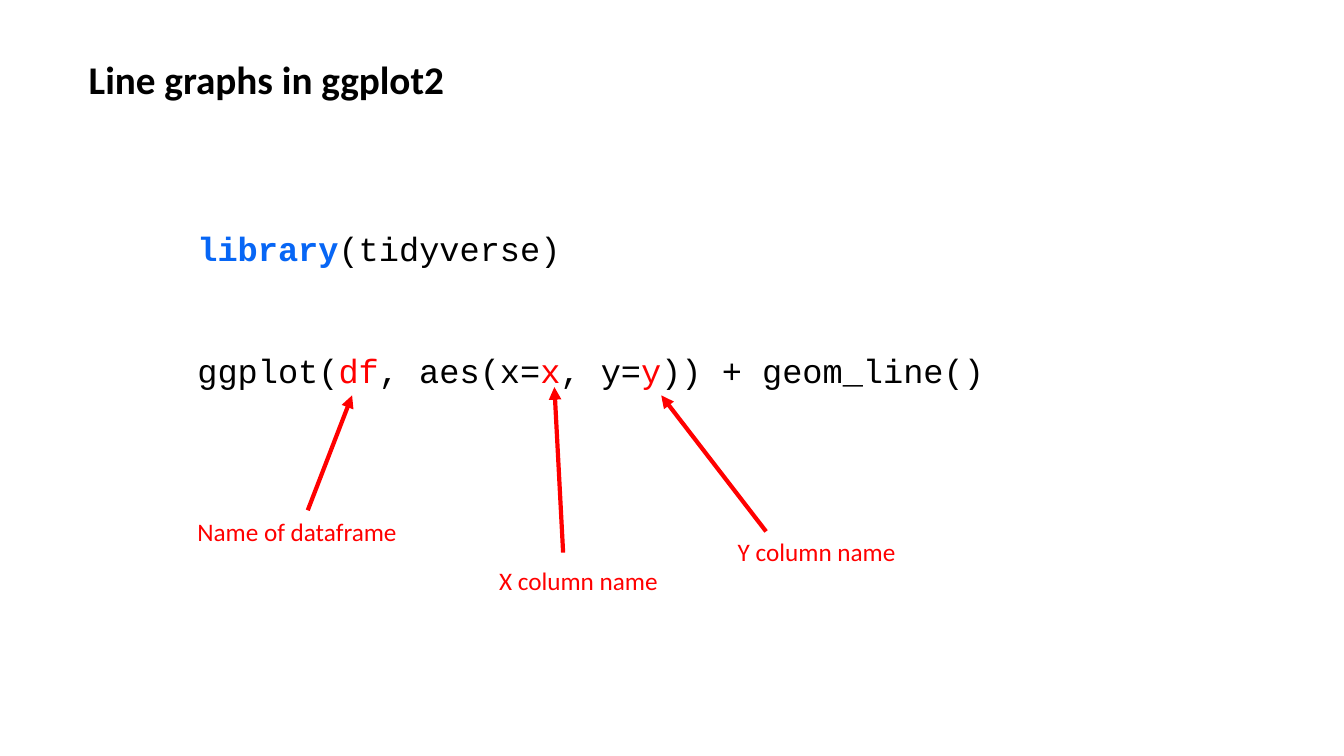
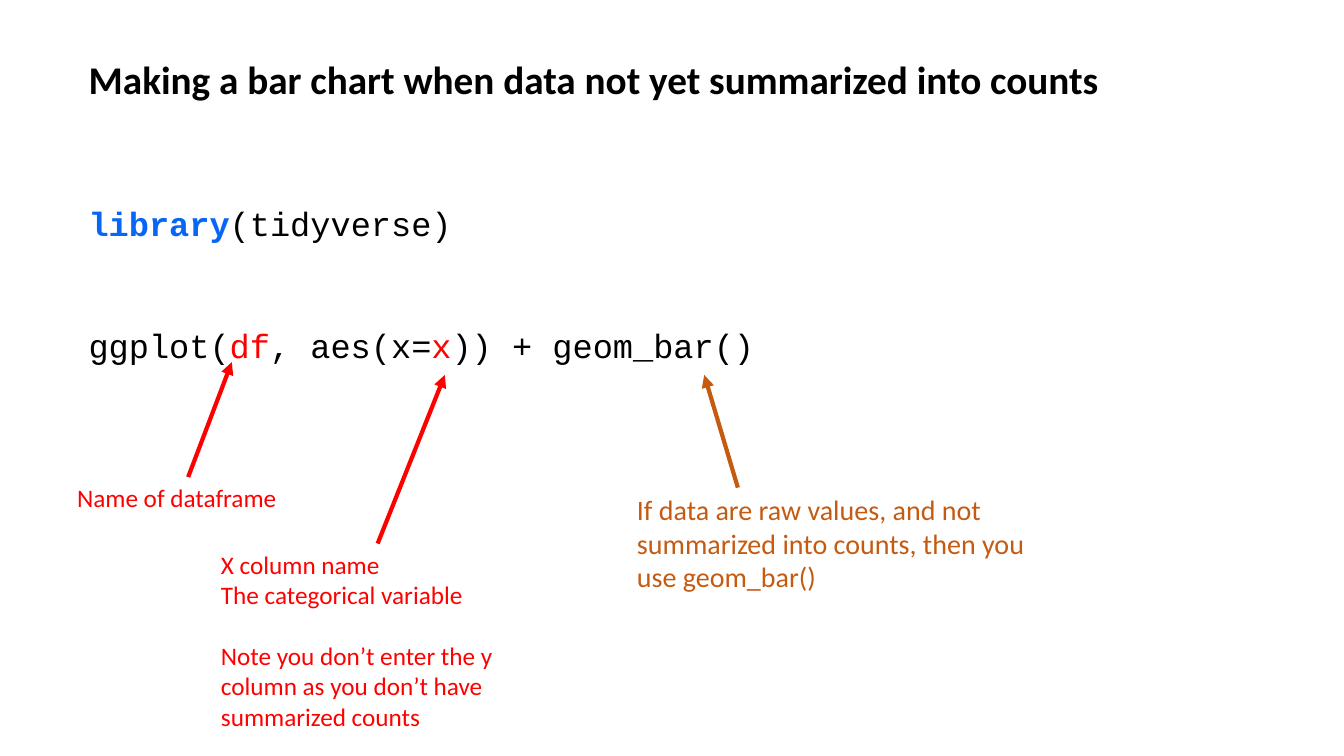
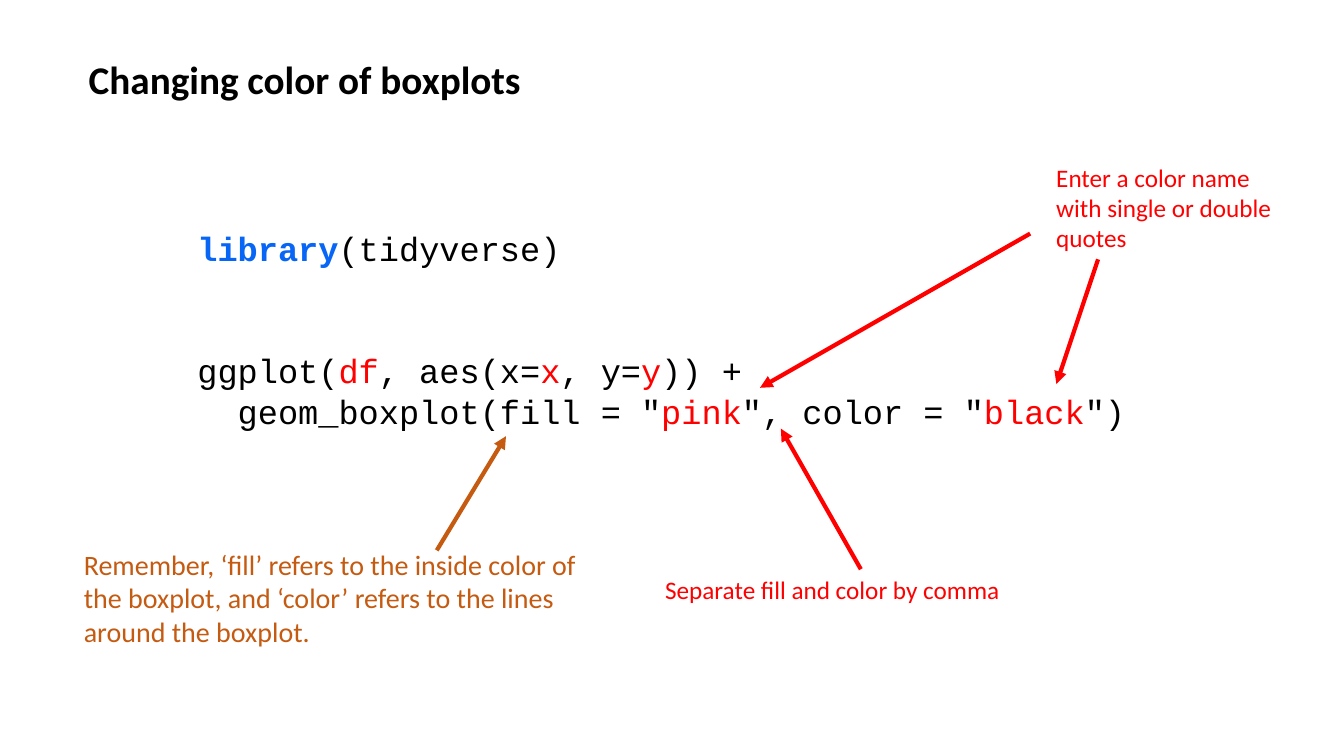
from dataclasses import dataclass

from lxml import etree
from pptx import Presentation
from pptx.dml.color import RGBColor
from pptx.enum.shapes import MSO_CONNECTOR
from pptx.enum.text import MSO_ANCHOR, PP_ALIGN
from pptx.oxml.ns import qn
from pptx.util import Inches, Length, Pt

STRAIGHT = MSO_CONNECTOR.STRAIGHT
LEFT = PP_ALIGN.LEFT
TOP = MSO_ANCHOR.TOP
WIDE, HIGH = Inches(13.33), Inches(7.5)
SANS, MONO = "Calibri", "Courier New"
BLACK, RED, BLUE, BROWN = "000000", "FF0000", "0766F5", "C55A11"
PITCH = 29
TAB = Inches(0.4)


@dataclass(frozen=True)
class Box:
    left: float
    top: float
    width: float
    height: float = 5.3


@dataclass(frozen=True)
class Note:
    box: Box
    lines: tuple[str, ...]
    color: str = RED
    size: int = 18
    wrap: bool = False
    gap: int | None = None


@dataclass(frozen=True)
class Arrow:
    start: tuple[float, float]
    end: tuple[float, float]
    color: str = RED


@dataclass(frozen=True)
class Page:
    title: str
    box: Box
    code: tuple[str, ...]
    notes: tuple[Note, ...]
    arrows: tuple[Arrow, ...]


PAGES = (
    Page(
        "Line graphs in ggplot2",
        Box(13.95, 29.5, 71.8, 22.9),
        ("ggplot(|df|, aes(x=|x|, y=|y|)) + geom_line()",),
        (
            Note(Box(13.95, 67.6, 16.5), ("Name of dataframe",)),
            Note(Box(54.15, 70.3, 13.4), ("Y column name",)),
            Note(Box(36.4, 74.1, 13.4), ("X column name",)),
        ),
        (
            Arrow((22.9, 67.5), (26.2, 52.3)),
            Arrow((41.9, 73.1), (41.25, 51.2)),
            Arrow((57, 70.3), (49.2, 52.3)),
        ),
    ),
    Page(
        "Making a bar chart when data not yet summarized into counts",
        Box(5.85, 26.2, 81.5, 33.6),
        ("ggplot(|df|, aes(x=|x|)) + geom_bar()",),
        (
            Note(
                Box(46.65, 64.5, 32.55, 14.8),
                ("If data are raw values, and not summarized into counts, "
                 "then you use geom_bar()",),
                BROWN, 20, True,
            ),
            Note(
                Box(15.7, 72, 26.4, 25.6),
                ("X column name", "The categorical variable",
                 "Note you don’t enter the y column as you don’t have "
                 "summarized counts"),
                wrap=True, gap=2,
            ),
            Note(Box(5, 63.2, 16.5), ("Name of dataframe",)),
        ),
        (
            Arrow((54.9, 64.5), (52.4, 49.6), BROWN),
            Arrow((28.1, 71.9), (33.1, 49.6)),
            Arrow((14, 63.1), (17.25, 47.9)),
        ),
    ),
    Page(
        "Changing color of boxplots",
        Box(13.95, 29.5, 71.8, 28.3),
        ("ggplot(|df|, aes(x=|x|, y=|y|)) +",
         'geom_boxplot(fill = "|pink|", color = "|black|")'),
        (
            Note(Box(48.75, 75.3, 26.7), ("Separate fill and color by comma",)),
            Note(
                Box(77.85, 20.8, 19.05, 13.5),
                ("Enter a color name with single or double quotes",),
                wrap=True,
            ),
            Note(
                Box(5.5, 71.7, 38.2, 14.8),
                ("Remember, ‘fill’ refers to the inside color of the boxplot, "
                 "and ‘color’ refers to the lines around the boxplot.",),
                BROWN, 20, True,
            ),
        ),
        (
            Arrow((64.05, 75.3), (58.1, 56.7)),
            Arrow((81.7, 34.3), (78.6, 50.8)),
            Arrow((76.65, 30.9), (56.55, 51.3)),
            Arrow((32.5, 72.8), (37.65, 57.7), BROWN),
        ),
    ),
)


def rgb(color: str) -> RGBColor:
    return RGBColor.from_string(color)


def across(share: float) -> Length:
    return Length(round(WIDE * share / 100))


def down(share: float) -> Length:
    return Length(round(HIGH * share / 100))


def place(box: Box) -> tuple[Length, Length, Length, Length]:
    return across(box.left), down(box.top), across(box.width), down(box.height)


def style(font, face: str, size: int, color: str, bold: bool = False) -> None:
    font.name, font.size, font.bold = face, Pt(size), bold
    font.color.rgb = rgb(color)


def lines(frame, count: int) -> list:
    return [frame.paragraphs[0]] + [frame.add_paragraph() for _ in range(count - 1)]


def add_title(slide, text: str) -> None:
    title = slide.shapes.title
    title.left, title.top, title.width, title.height = place(Box(5.85, 6.67, 88, 7.6))
    frame = title.text_frame
    frame.text, frame.vertical_anchor = text, TOP
    head = frame.paragraphs[0]
    head.alignment = LEFT
    style(head.font, SANS, 28, BLACK, True)


def add_code(slide, box: Box, code: tuple[str, ...]) -> None:
    frame = slide.shapes.add_textbox(*place(box)).text_frame
    frame.word_wrap = True
    first, *rest = lines(frame, len(code) + 1)
    for para in (first, *rest):
        para.line_spacing = Pt(PITCH)
        style(para.font, MONO, 24, BLACK)
    for text, color in (("library", BLUE), ("(tidyverse)", BLACK)):
        run = first.add_run()
        run.text = text
        style(run.font, MONO, 24, color, color == BLUE)
    rest[0].space_before = Pt(2 * PITCH)
    for para in rest[1:]:
        para._p.get_or_add_pPr().set("marL", str(TAB))
    for para, line in zip(rest, code):
        for spot, text in enumerate(line.split("|")):
            run = para.add_run()
            run.text = text
            style(run.font, MONO, 24, RED if spot % 2 else BLACK)


def add_note(slide, note: Note) -> None:
    frame = slide.shapes.add_textbox(*place(note.box)).text_frame
    frame.word_wrap = note.wrap
    for spot, para in enumerate(lines(frame, len(note.lines))):
        para.text = note.lines[spot]
        style(para.font, SANS, note.size, note.color)
        if spot == note.gap:
            para.space_before = Pt(22)


def add_arrow(slide, arrow: Arrow) -> None:
    (left, top), (right, low) = arrow.start, arrow.end
    link = slide.shapes.add_connector(
        STRAIGHT, across(left), down(top), across(right), down(low))
    link.line.color.rgb = rgb(arrow.color)
    link.line.width = Pt(3)
    etree.SubElement(link.line._get_or_add_ln(), qn("a:tailEnd"), type="triangle")
    etree.SubElement(link._element.spPr, qn("a:effectLst"))


def main() -> None:
    deck = Presentation()
    deck.slide_width, deck.slide_height = WIDE, HIGH
    for page in PAGES:
        slide = deck.slides.add_slide(deck.slide_layouts[5])
        add_title(slide, page.title)
        add_code(slide, page.box, page.code)
        for arrow in page.arrows:
            add_arrow(slide, arrow)
        for note in page.notes:
            add_note(slide, note)
    deck.save("out.pptx")


if __name__ == "__main__":
    main()
